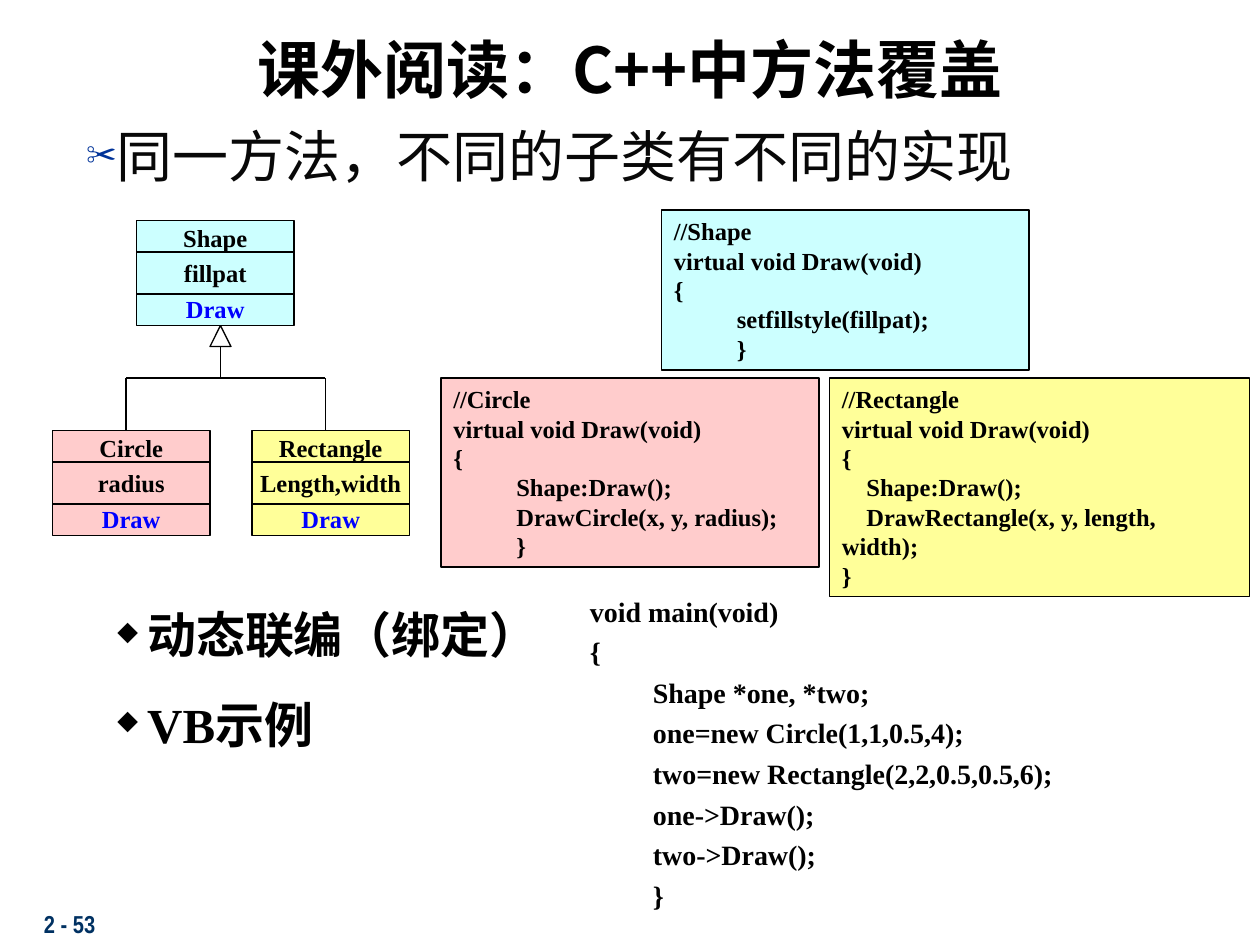
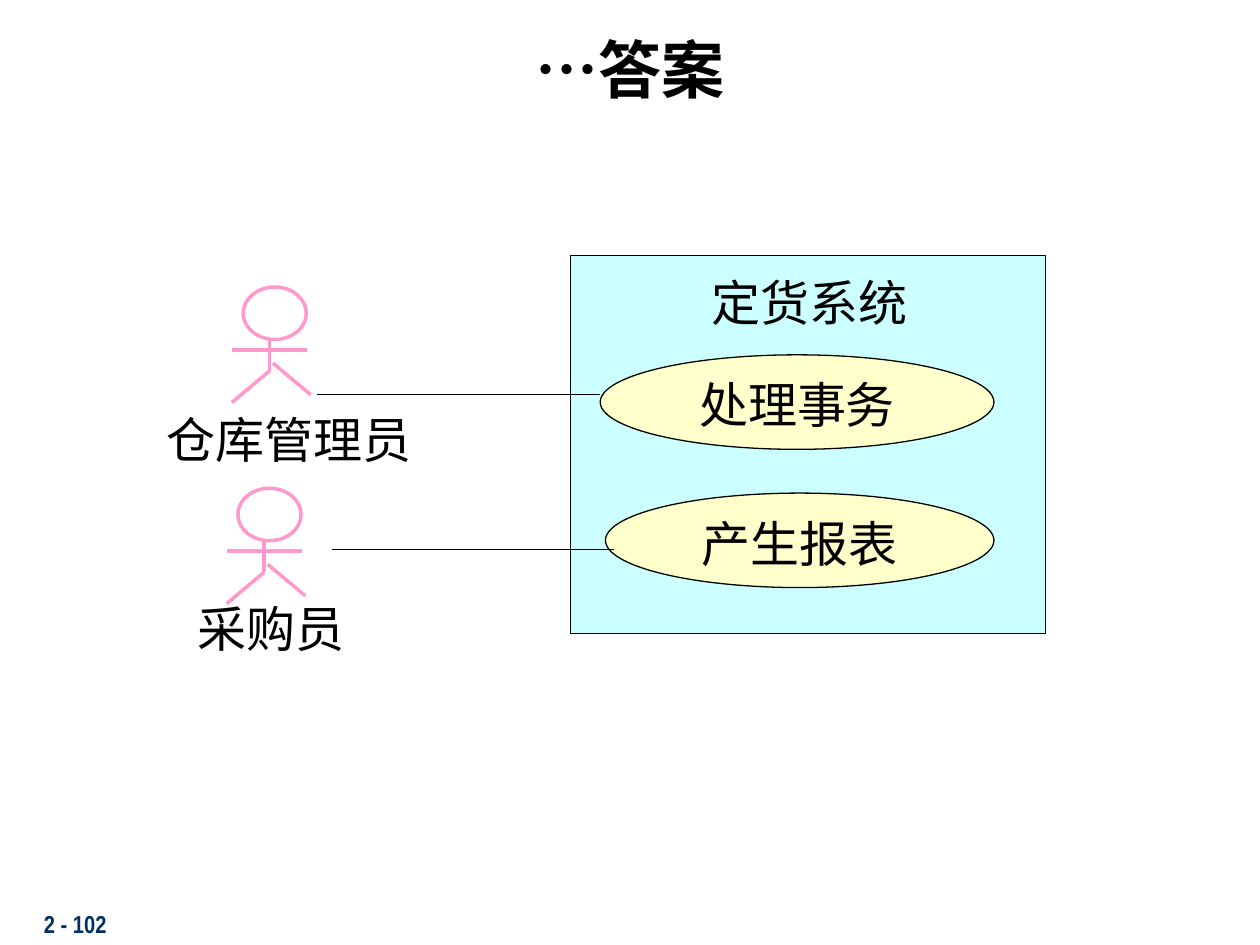
from pptx import Presentation
from pptx.dml.color import RGBColor
from pptx.enum.shapes import MSO_CONNECTOR, MSO_SHAPE
from pptx.enum.text import MSO_ANCHOR, MSO_AUTO_SIZE, PP_ALIGN
from pptx.oxml.ns import qn
from pptx.util import Pt
from lxml import etree

BLACK = RGBColor(0, 0, 0)
INK = RGBColor(0x08, 0x08, 0x08)
NAVY = RGBColor(0x00, 0x31, 0x62)
SCISSORS_BLUE = RGBColor(0x00, 0x33, 0x99)
METHOD_BLUE = RGBColor(0x00, 0x00, 0xFF)
CYAN = RGBColor(0xCC, 0xFF, 0xFF)
ROSE = RGBColor(0xFF, 0xCC, 0xCC)
YELLOW = RGBColor(0xFF, 0xFF, 0x99)
CREAM = RGBColor(0xFF, 0xFF, 0xCC)
PINK = RGBColor(0xFF, 0x99, 0xCC)

SERIF, CJK, NARROW, SANS = "Times New Roman", "Noto Sans CJK SC", "Arial Narrow", "Arial"
RECT, OVAL, TRIANGLE = MSO_SHAPE.RECTANGLE, MSO_SHAPE.OVAL, MSO_SHAPE.ISOSCELES_TRIANGLE
STRAIGHT = MSO_CONNECTOR.STRAIGHT
TOP, MIDDLE = MSO_ANCHOR.TOP, MSO_ANCHOR.MIDDLE
LEFT, CENTER = PP_ALIGN.LEFT, PP_ALIGN.CENTER
NO_AUTOFIT = MSO_AUTO_SIZE.NONE

TITLE_BOX = (12, 12, 696, 54)
FOOTER_BOX = (18, 516, 150, 24)
CODE_INDENT = 36
BULLET_INDENT = 17

OVERRIDE_TITLE = [("课外阅读：C++中方法覆盖", CJK)]
OVERRIDE_POINT = "同一方法，不同的子类有不同的实现"
CLASSES = [
    (78, 126, CYAN, ["Shape", "fillpat", "Draw"]),
    (30, 246, ROSE, ["Circle", "radius", "Draw"]),
    (144, 246, YELLOW, ["Rectangle", "Length,width", "Draw"]),
]
CLASS_WIDTH, CLASS_HEIGHT = 90, 60
CLASS_DIVIDERS = (18, 42)
INHERITANCE_ARROW = (120, 186, 12, 12)
INHERITANCE_LINES = [
    (72, 216, 186, 216), (72, 216, 72, 246),
    (186, 216, 186, 246), (126, 198, 126, 216),
]
METHODS = [
    ((378, 120, 210, 91.5), CYAN,
     ["//Shape", "virtual void Draw(void)", "{", "setfillstyle(fillpat);", "}"], (3, 4)),
    ((252, 216, 216, 108), ROSE,
     ["//Circle", "virtual void Draw(void)", "{", "Shape:Draw();",
      "DrawCircle(x, y, radius);", "}"], (3, 4, 5)),
    ((474, 216, 240, 125), YELLOW,
     ["//Rectangle", "virtual void Draw(void)", "{", "    Shape:Draw();",
      "    DrawRectangle(x, y, length, width);", "}"], ()),
]
MAIN_BOX = (330, 336, 342, 189)
MAIN_CODE = ["void main(void)", "{", "Shape *one, *two;", "one=new Circle(1,1,0.5,4);",
             "two=new Rectangle(2,2,0.5,0.5,6);", "one->Draw();", "two->Draw();", "}"]
TOPICS_BOX = (60, 342, 276, 92)
TOPICS = ["动态联编（绑定）", "VB示例"]

ANSWER_TITLE = [("…", SERIF), ("答案", CJK)]
SYSTEM_BOX = (326, 146, 271.5, 216)
SYSTEM_NAME, SYSTEM_NAME_BOX = "定货系统", (399.5, 152, 243, 41)
USE_CASES = [("处理事务", (343, 202.75, 225, 54)), ("产生报表", (346, 281.75, 222, 54))]
ACTORS = [
    ("仓库管理员", (88, 230.5, 156, 34), (139, 164)),
    ("采购员", (106, 338.5, 108, 34), (136, 279)),
]
HEAD_WIDTH, HEAD_HEIGHT = 36, 30
LIMBS = [(15, 30, 15, 48), (-6.5, 36, 36.5, 36), (15, 48, -6.5, 66), (17, 43.5, 38.5, 61.5)]
ASSOCIATIONS = [(181, 225.5, 343, 225.5), (189.5, 314, 351, 314)]


def points(values):
    return [Pt(value) for value in values]


def style_run(run, size, font, color, bold):
    run.font.size, run.font.name, run.font.bold = Pt(size), font, bold
    run.font.color.rgb = color
    east_asian = etree.SubElement(run._r.get_or_add_rPr(), qn("a:ea"))
    east_asian.set("typeface", CJK)


def write(holder, lines, size, font=SERIF, color=BLACK, bold=False, align=LEFT,
          gap=0, anchor=TOP, wrap=True, indented=()):
    frame = holder.text_frame
    frame.text = "\n".join(lines)
    frame.word_wrap, frame.vertical_anchor, frame.auto_size = wrap, anchor, NO_AUTOFIT
    for row, paragraph in enumerate(frame.paragraphs):
        paragraph.alignment = align
        paragraph.space_before = Pt(gap if row else 0)
        if row in indented:
            paragraph._p.get_or_add_pPr().set("marL", str(Pt(CODE_INDENT)))
        for run in paragraph.runs:
            style_run(run, size, font, color, bold)
    return frame


def add_bullets(frame, mark, color):
    for paragraph in frame.paragraphs:
        properties = paragraph._p.get_or_add_pPr()
        properties.set("marL", str(Pt(BULLET_INDENT)))
        properties.set("indent", str(-Pt(BULLET_INDENT)))
        bullet_color = etree.SubElement(properties, qn("a:buClr"))
        etree.SubElement(bullet_color, qn("a:srgbClr")).set("val", str(color))
        etree.SubElement(properties, qn("a:buSzPct")).set("val", "55000")
        etree.SubElement(properties, qn("a:buChar")).set("char", mark)


def place(holder, box):
    holder.left, holder.top, holder.width, holder.height = points(box)


def draw_shape(slide, preset, box, fill=None, line=BLACK, weight=0.75):
    shape = slide.shapes.add_shape(preset, *points(box))
    shape.shadow.inherit = False
    if fill is None:
        shape.fill.background()
    else:
        shape.fill.solid()
        shape.fill.fore_color.rgb = fill
    shape.line.color.rgb, shape.line.width = line, Pt(weight)
    return shape


def draw_line(slide, ends, color=BLACK, weight=0.75):
    line = slide.shapes.add_connector(STRAIGHT, *points(ends))
    line.line.color.rgb, line.line.width = color, Pt(weight)
    etree.SubElement(line._element.spPr, qn("a:effectLst"))


def write_box(slide, box, lines, size, **style):
    return write(slide.shapes.add_textbox(*points(box)), lines, size, **style)


def start_slide(deck, layout, title_parts, number):
    slide = deck.slides.add_slide(deck.slide_layouts[layout])
    title = slide.shapes.title
    place(title, TITLE_BOX)
    frame = title.text_frame
    frame.auto_size, frame.vertical_anchor = NO_AUTOFIT, MIDDLE
    paragraph = frame.paragraphs[0]
    paragraph.alignment = CENTER
    for words, font in title_parts:
        run = paragraph.add_run()
        run.text = words
        style_run(run, 36, font, BLACK, True)
    write_box(slide, FOOTER_BOX, [f"2 - {number}"], 14, font=NARROW, color=NAVY, bold=True)
    return slide


def draw_class(slide, left, top, fill, members):
    box = draw_shape(slide, RECT, (left, top, CLASS_WIDTH, CLASS_HEIGHT), fill)
    frame = write(box, members, 14, bold=True, align=CENTER, gap=3.5,
                  anchor=MIDDLE, wrap=False)
    frame.paragraphs[-1].runs[0].font.color.rgb = METHOD_BLUE
    for offset in CLASS_DIVIDERS:
        draw_line(slide, (left, top + offset, left + CLASS_WIDTH, top + offset))


def draw_actor(slide, name, name_box, head):
    write_box(slide, name_box, [name], 28)
    left, top = head
    draw_shape(slide, OVAL, (left, top, HEAD_WIDTH, HEAD_HEIGHT), line=PINK, weight=2)
    for x1, y1, x2, y2 in LIMBS:
        draw_line(slide, (left + x1, top + y1, left + x2, top + y2), PINK, 2)


def build_override_slide(deck):
    slide = start_slide(deck, 1, OVERRIDE_TITLE, 53)
    body = slide.placeholders[1]
    place(body, (42, 66, 642, 60))
    add_bullets(write(body, [OVERRIDE_POINT], 32, font=CJK, color=INK), "✂", SCISSORS_BLUE)
    for ends in INHERITANCE_LINES:
        draw_line(slide, ends)
    draw_shape(slide, TRIANGLE, INHERITANCE_ARROW)
    for class_parts in CLASSES:
        draw_class(slide, *class_parts)
    for box, fill, code, indented in METHODS:
        write(draw_shape(slide, RECT, box, fill), code, 14, bold=True, indented=indented)
    write_box(slide, MAIN_BOX, MAIN_CODE, 16, bold=True, gap=4,
              indented=range(2, len(MAIN_CODE)))
    topics = write_box(slide, TOPICS_BOX, TOPICS, 28, bold=True, gap=17.5)
    add_bullets(topics, "◆", BLACK)


def build_answer_slide(deck):
    slide = start_slide(deck, 5, ANSWER_TITLE, 102)
    draw_shape(slide, RECT, SYSTEM_BOX, CYAN)
    write_box(slide, SYSTEM_NAME_BOX, [SYSTEM_NAME], 28, font=SANS)
    for name, box in USE_CASES:
        write(draw_shape(slide, OVAL, box, CREAM), [name], 28, align=CENTER)
    for actor in ACTORS:
        draw_actor(slide, *actor)
    for ends in ASSOCIATIONS:
        draw_line(slide, ends)


def main():
    deck = Presentation()
    deck.slide_width, deck.slide_height = Pt(720), Pt(540)
    build_override_slide(deck)
    build_answer_slide(deck)
    deck.save("out.pptx")


if __name__ == "__main__":
    main()
